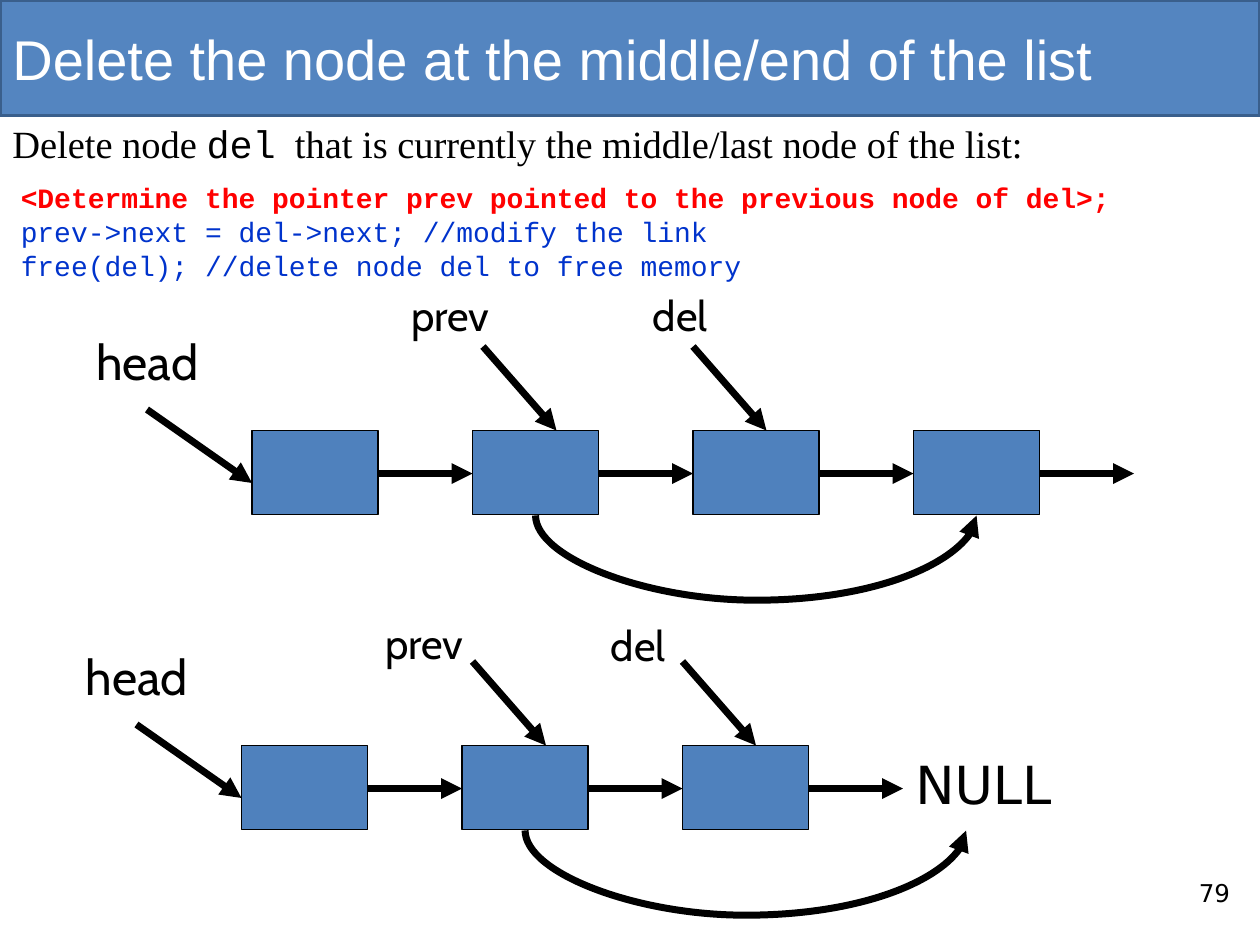
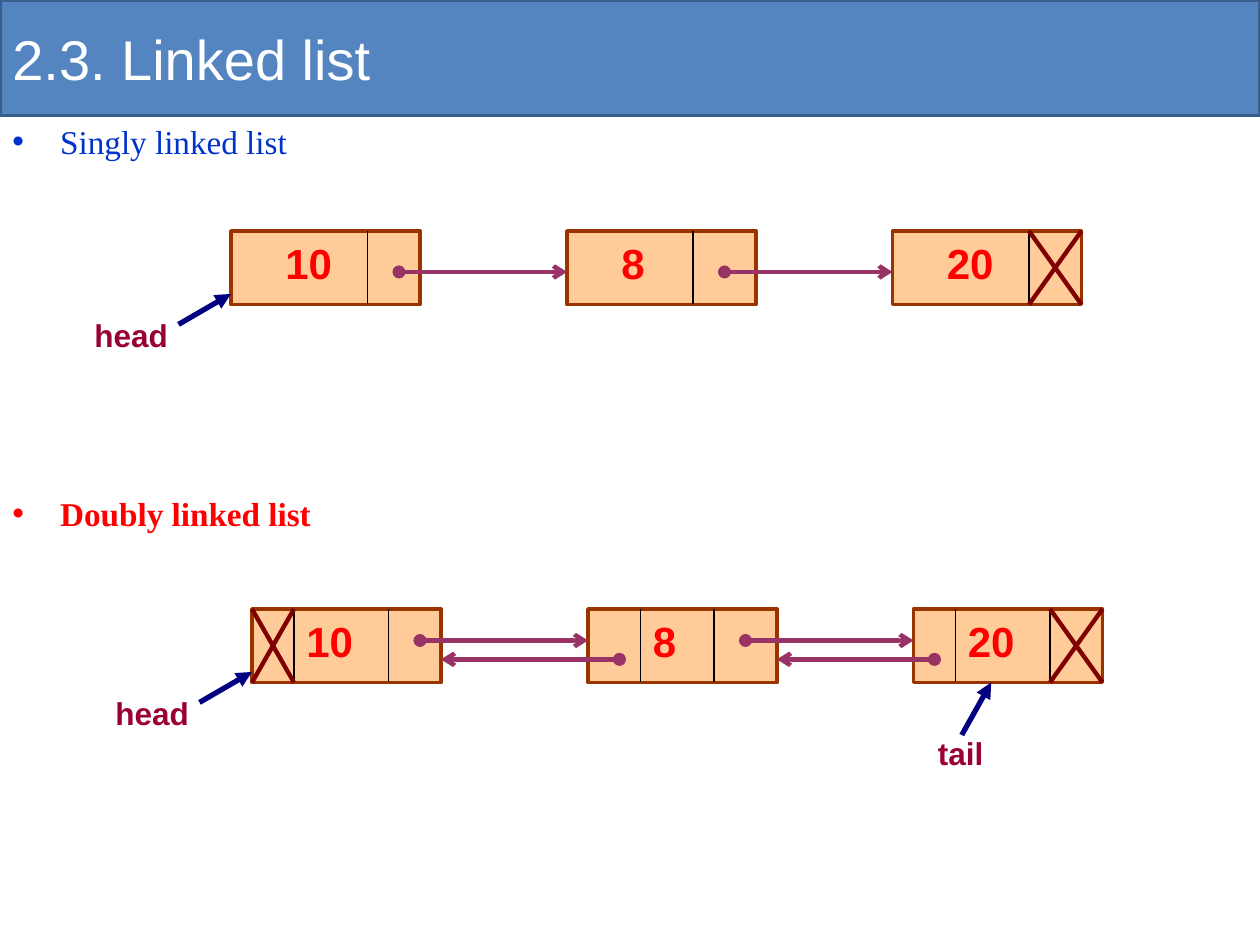
from lxml.etree import SubElement
from pptx import Presentation
from pptx.dml.color import RGBColor
from pptx.enum.shapes import MSO_CONNECTOR, MSO_SHAPE
from pptx.enum.text import MSO_ANCHOR, PP_ALIGN
from pptx.oxml.ns import qn
from pptx.util import Inches, Pt

COLUMNS, ROWS = 120, 90
BLACK, RED, BLUE, WHITE = "000000", "FF0000", "0033CC", "FFFFFF"
color = RGBColor.from_string

presentation = Presentation()
presentation.slide_width = Inches(10)
presentation.slide_height = Inches(7.5)
cell = presentation.slide_width // COLUMNS  # square cells, 90 rows high
TITLE_AREA = (0, 0, COLUMNS, 11)


def add_box(shapes, area, paragraphs=(), fill=None, line=BLACK, line_width=0.75,
            anchor=MSO_ANCHOR.TOP):
    """Add a filled rectangle, or a text box when there is no fill.

    area is left, top, width, height in cells; each paragraph is a list of
    runs (text, size, font, colour, bold).
    """
    area = [round(length * cell) for length in area]
    if fill:
        shape = shapes.add_shape(MSO_SHAPE.RECTANGLE, *area)
        shape.shadow.inherit = False
        shape.fill.solid()
        shape.fill.fore_color.rgb = color(fill)
        shape.line.color.rgb = color(line)
        shape.line.width = Pt(line_width)
        return shape
    shape = shapes.add_textbox(*area)
    frame = shape.text_frame
    frame.word_wrap = True
    frame.vertical_anchor = anchor
    for index, runs in enumerate(paragraphs):
        paragraph = frame.add_paragraph() if index else frame.paragraphs[0]
        for text, size, font, text_color, bold in runs:
            run = paragraph.add_run()
            run.text = text
            run.font.size = Pt(size)
            run.font.name = font
            run.font.bold = bold
            run.font.color.rgb = color(text_color)
    return shape


def add_line(shapes, start, end, line=BLACK, width=4.0, head=None, tail=None,
             kind=MSO_CONNECTOR.STRAIGHT):
    """Add a connector between two points in cells; tail is the mark at its end."""
    points = [round(value * cell) for value in (*start, *end)]
    connector = shapes.add_connector(kind, *points)
    connector.line.color.rgb = color(line)
    connector.line.width = Pt(width)
    outline = connector.line._get_or_add_ln()
    for tag, mark in (("a:headEnd", head), ("a:tailEnd", tail)):
        if mark:
            SubElement(outline, qn(tag), type=mark)
    SubElement(connector._element.spPr, qn("a:effectLst"))
    return connector


# Both slides: title band and title
slides = []
for title in ("Delete the node at the middle/end of the list", "2.3. Linked list"):
    slide = presentation.slides.add_slide(presentation.slide_layouts[6])
    add_box(slide.shapes, TITLE_AREA, fill="5485C0", line="3A5F8C", line_width=2)
    add_box(slide.shapes, TITLE_AREA, [[(title, 32, "Arial", WHITE, False)]],
            anchor=MSO_ANCHOR.MIDDLE)
    slides.append(slide)
delete_slide, list_slide = slides

# Slide 1: explanation and code
shapes = delete_slide.shapes
add_box(shapes, (113, 83, 6, 4.8), [[("79", 14, "DejaVu Sans", BLACK, False)]])
add_box(shapes, (0, 10.8, COLUMNS, 5.6), [[
    ("Delete node ", 22, "Times New Roman", BLACK, False),
    ("del", 22, "Courier New", BLACK, False),
    ("  that is currently the middle/last node of the list:", 22,
     "Times New Roman", BLACK, False),
]])
code = add_box(shapes, (0.8, 17.2, 118, 10.7), [
    [("<Determine the pointer prev pointed to the previous node of del>;",
      16, "Courier New", RED, True)],
    [("prev->next = del->next; //modify the link", 16, "Courier New", BLUE, False)],
    [("free(del); //delete node del to free memory", 16, "Courier New", BLUE, False)],
])
for index, paragraph in enumerate(code.text_frame.paragraphs):
    paragraph.line_spacing = 0.8
    if index:
        paragraph.space_before = Pt(4)

# Slide 1: deletion in the middle (four nodes) and at the end (three nodes)
NODE_WIDTH, NODE_HEIGHT, NODE_STEP = 12, 8, 21
CURVE_DEPTH = 8.9
for left, top, node_count, prev_label, del_label in (
    (24, 41, 4, (14, -14), (37, -14)),
    (23, 71, 3, (12.5, -12.8), (34, -12.6)),
):
    for index in range(node_count):
        node_left = left + index * NODE_STEP
        add_box(shapes, (node_left, top, NODE_WIDTH, NODE_HEIGHT), fill="4F81BD")
        add_line(shapes, (node_left + NODE_WIDTH, top + 4.1),
                 (node_left + NODE_STEP, top + 4.1), tail="triangle")

    for start, end in (((-10, -2), (0, 5)), ((22, -8), (29, 0)), ((42, -8), (49, 0))):
        add_line(shapes, (left + start[0], top + start[1]),
                 (left + end[0], top + end[1]), tail="triangle")

    for name, size, (x, y) in (("head", 28, (-16, -10)), ("prev", 24, prev_label),
                               ("del", 24, del_label)):
        add_box(shapes, (left + x, top + y, 18, 6.5),
                [[(name, size, "Cabin", BLACK, False)]])

    # The bypass is a flat curved connector turned on its side
    start_x, end_x, base = left + 27, left + 69, top + 8.1
    bypass = add_line(shapes, (start_x, base), (end_x, base), tail="triangle",
                      kind=MSO_CONNECTOR.CURVE)
    span = (end_x - start_x) * cell
    bypass.width, bypass.height = Pt(0.125), span
    bypass.left = round((start_x + end_x) / 2 * cell)
    bypass.top = round(base * cell - span / 2)
    transform = bypass._element.spPr.find(qn("a:xfrm"))
    transform.set("rot", "16200000")
    transform.set("flipH", "1")
    adjustments = bypass._element.spPr.find(qn("a:prstGeom")).find(qn("a:avLst"))
    bend = round(CURVE_DEPTH * cell / bypass.width * 100000)
    SubElement(adjustments, qn("a:gd"), name="adj1", fmla=f"val {bend}")
add_box(shapes, (86, 71, 20.5, 7.3), [[("NULL", 30, "DejaVu Sans", BLACK, False)]])

# Slide 2: bullets
shapes = list_slide.shapes
for text, top, text_color, bold in (("Singly linked list", 11, BLUE, False),
                                    ("Doubly linked list", 46.4, RED, True)):
    bullet = add_box(shapes, (0, top, COLUMNS, 5),
                     [[(text, 19, "Times New Roman", text_color, bold)]])
    paragraph = bullet.text_frame.paragraphs[0]
    paragraph.alignment = PP_ALIGN.JUSTIFY
    properties = paragraph._p.get_or_add_pPr()
    properties.set("marL", str(Inches(0.38)))
    properties.set("indent", str(-Inches(0.38)))
    SubElement(properties, qn("a:buFont"), typeface="Arial")
    SubElement(properties, qn("a:buChar"), char="•")

# Slide 2: both lists share node offsets, value and the link field's left edge
RECORD_WIDTH, RECORD_HEIGHT = 18, 7
RECORDS = ((0, "10", 4, 13), (32, "8", 4, 12), (63, "20", 4, 13))
LINK = {"line": "993366", "width": 2.5, "head": "oval", "tail": "arrow"}
POINTER = {"line": "000080", "width": 3, "tail": "triangle"}
for left, top, link_row, doubly in ((22, 22, 3.9, False), (24, 58, 3, True)):
    group = list_slide.shapes.add_group_shape().shapes
    bottom = top + RECORD_HEIGHT
    crosses = [(left + 76, left + 81)]
    if doubly:
        crosses.append((left, left + 4))

    for offset, value, value_left, link_left in RECORDS:
        record_left = left + offset
        if doubly and value == "8":
            value_left += 1
        add_box(group, (record_left, top, RECORD_WIDTH, RECORD_HEIGHT),
                fill="FFCC99", line="993300", line_width=2)
        for divider in (value_left, link_left) if doubly else (link_left,):
            add_line(group, (record_left + divider, top),
                     (record_left + divider, bottom), width=0.75)
        add_box(group, (record_left + value_left, top, 8, 6),
                [[(value, 24, "Arial", RED, True)]])

    for (offset, _, _, link_left), following in zip(RECORDS, RECORDS[1:]):
        next_left = left + following[0]
        add_line(group, (left + offset + link_left + 3, top + link_row),
                 (next_left, top + link_row), **LINK)
        if doubly:
            back_start = next_left + following[3] - (9 if following[1] == "8" else 11)
            add_line(group, (back_start, top + 4.8),
                     (left + offset + RECORD_WIDTH, top + 4.8), **LINK)

    for cross_left, cross_right in crosses:
        for start, end in ((cross_left, cross_right), (cross_right, cross_left)):
            add_line(group, (start, top), (end, bottom), "800000", 2.5)

    pointers = [("head", (-15, 7.8), (-5, 8.9), (0, 6))]
    if doubly:
        pointers.append(("tail", (62, 11.6), (67.6, 12), (70.4, 7)))
    for name, (x, y), start, end in pointers:
        label = add_box(group, (left + x, top + y, 11, 4.2),
                        [[(name, 18, "Arial", "990033", True)]],
                        anchor=MSO_ANCHOR.MIDDLE)
        label.text_frame.paragraphs[0].alignment = PP_ALIGN.CENTER
        add_line(group, (left + start[0], top + start[1]),
                 (left + end[0], top + end[1]), **POINTER)

presentation.save("out.pptx")
